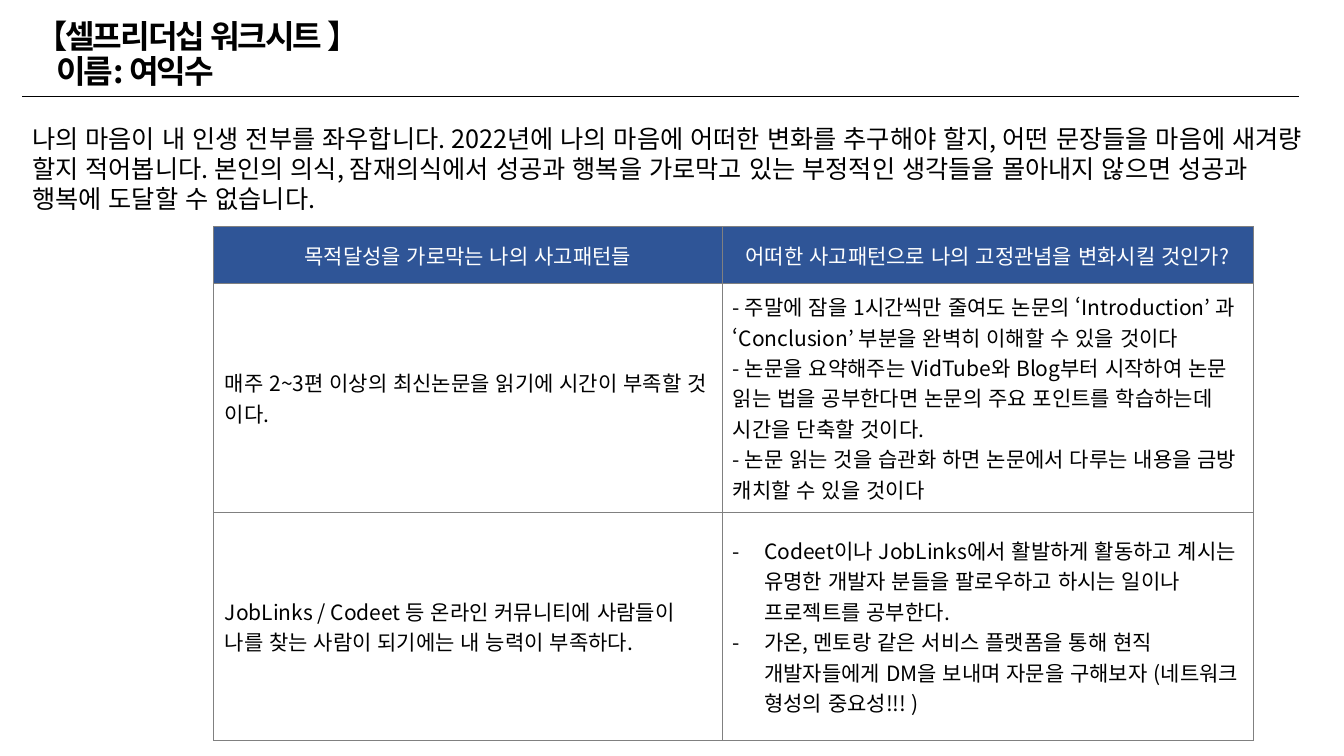
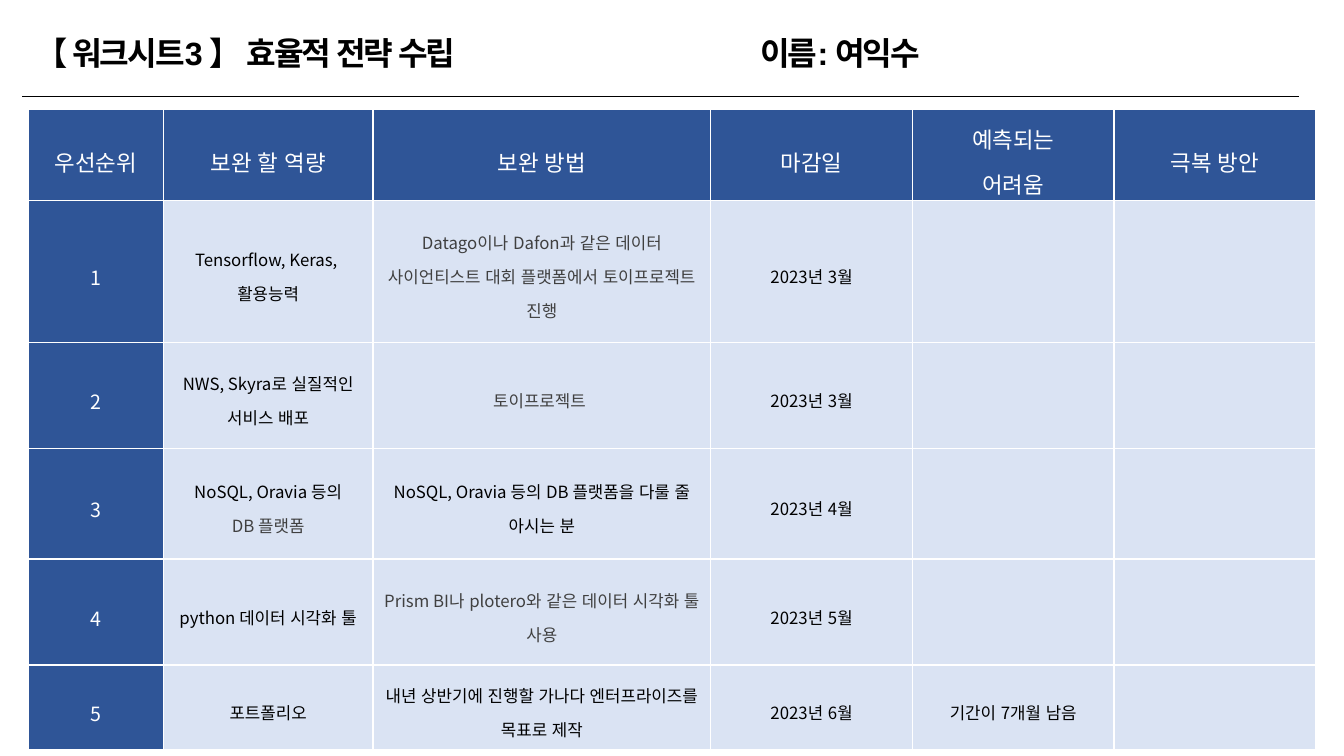
from dataclasses import dataclass

from pptx import Presentation
from pptx.dml.color import RGBColor as RGB
from pptx.enum.lang import MSO_LANGUAGE_ID as Lang
from pptx.enum.shapes import MSO_CONNECTOR as Link
from pptx.enum.text import MSO_ANCHOR as Anchor, MSO_AUTO_SIZE as Auto, PP_ALIGN as Align
from pptx.oxml.ns import qn
from pptx.oxml.xmlchemy import OxmlElement as Node
from pptx.shapes.base import BaseShape as Shape
from pptx.slide import Slide
from pptx.table import _Cell as Box
from pptx.text.text import TextFrame as Frame
from pptx.util import Inches, Pt

# Shared look
FONT = "Noto Sans CJK KR"
BLACK, WHITE, GRAY, DARK = "000000", "FFFFFF", "808080", "404040"
BLUE, PALE = "2F5597", "DAE3F3"


@dataclass(frozen=True)
class Style:
    size: float
    color: str = BLACK
    font: str = FONT
    bold: bool = False
    track: int = 0
    align: Align = Align.LEFT
    space: float = 1.0


@dataclass(frozen=True)
class Cell:
    text: str
    style: Style
    fill: str
    tail: str = ""  # colour of the last paragraph, if it differs
    dash: bool = False


@dataclass(frozen=True)
class Grid:
    left: float
    top: float
    cols: list[float]
    rows: list[float]
    edge: str
    width: float
    pad: tuple[float, float]
    cells: list[list[Cell]]


def tint(code: str) -> RGB:
    return RGB.from_string(code)


def write(frame: Frame, text: str, style: Style) -> None:
    frame.text = text
    frame.word_wrap = True
    for para in frame.paragraphs:
        para.alignment = style.align
        para.line_spacing = style.space
        for run in para.runs:
            font = run.font
            font.size, font.bold, font.name = Pt(style.size), style.bold, style.font
            font.language_id = Lang.KOREAN
            font.color.rgb = tint(style.color)
            props = run._r.get_or_add_rPr()
            props.set("altLang", "en-US")
            props.set("kern", "0")
            if style.track:
                props.set("spc", str(style.track))
            east = Node("a:ea")
            east.set("typeface", FONT)
            props.find(qn("a:latin")).addnext(east)


def place(shape: Shape, left: float, top: float, width: float, height: float) -> None:
    shape.left, shape.top = Inches(left), Inches(top)
    shape.width, shape.height = Inches(width), Inches(height)


def inset(frame: Frame) -> None:
    frame.auto_size = Auto.NONE
    frame.vertical_anchor = Anchor.MIDDLE
    frame.margin_left = frame.margin_right = Inches(0.07)
    frame.margin_top = frame.margin_bottom = Inches(0.04)


def head(slide: Slide, text: str, style: Style) -> None:
    """Title and the rule under it."""
    title = slide.shapes.title
    place(title, 0.28, 0.15, 11.74, 0.8)
    inset(title.text_frame)
    write(title.text_frame, text, style)
    y = Inches(0.96)
    rule = slide.shapes.add_connector(Link.STRAIGHT, Inches(0.22), y, Inches(12.88), y)
    rule.line.color.rgb = tint(BLACK)
    rule.line.width = Pt(0.5)
    rule._element.spPr.append(Node("a:effectLst"))


def border(box: Box, color: str, width: float) -> None:
    props = box._tc.get_or_add_tcPr()
    for side in "LRTB":
        line, fill, tone = Node(f"a:ln{side}"), Node("a:solidFill"), Node("a:srgbClr")
        line.set("w", str(Pt(width)))
        tone.set("val", color)
        fill.append(tone)
        line.append(fill)
        props.append(line)


def bullet(frame: Frame) -> None:
    for para in frame.paragraphs:
        props = para._p.get_or_add_pPr()
        props.set("marL", str(Inches(0.31)))
        props.set("indent", str(-Inches(0.31)))
        face, mark = Node("a:buFont"), Node("a:buChar")
        face.set("typeface", FONT)
        mark.set("char", "-")
        props.extend([face, mark])


def fill_box(box: Box, cell: Cell, grid: Grid) -> None:
    border(box, grid.edge, grid.width)
    box.fill.solid()
    box.fill.fore_color.rgb = tint(cell.fill)
    box.vertical_anchor = Anchor.MIDDLE
    box.margin_left = box.margin_right = Inches(grid.pad[0])
    box.margin_top = box.margin_bottom = Inches(grid.pad[1])
    write(box.text_frame, cell.text, cell.style)
    if cell.tail:
        for run in box.text_frame.paragraphs[-1].runs:
            run.font.color.rgb = tint(cell.tail)
    if cell.dash:
        bullet(box.text_frame)


def draw(slide: Slide, grid: Grid) -> None:
    table = slide.shapes.add_table(
        len(grid.rows), len(grid.cols), Inches(grid.left), Inches(grid.top),
        Inches(sum(grid.cols)), Inches(sum(grid.rows))).table
    table.first_row = table.horz_banding = False
    for col, width in zip(table.columns, grid.cols):
        col.width = Inches(width)
    for row, height, cells in zip(table.rows, grid.rows, grid.cells):
        row.height = Inches(height)
        for box, cell in zip(row.cells, cells):
            fill_box(box, cell, grid)


deck = Presentation()
deck.slide_width, deck.slide_height = Inches(13.33), Inches(7.5)
plain = deck.slide_layouts[5]

# Slide 1: thought patterns
mind = deck.slides.add_slide(plain)
head(mind, "【셀프리더십 워크시트 】\n이름: 여익수",
     Style(23, bold=True, track=-150, space=0.9))
owner = mind.shapes.title.text_frame.paragraphs[1]
owner._p.get_or_add_pPr().set("marL", str(Inches(0.21)))

intro = mind.shapes.add_textbox(Inches(0.22), Inches(1.17), Inches(12.99), Inches(1.01))
write(intro.text_frame,
      "나의 마음이 내 인생 전부를 좌우합니다. 2022년에 나의 마음에 어떠한 변화를 추구해야 할지, "
      "어떤 문장들을 마음에 새겨량 할지 적어봅니다. 본인의 의식, 잠재의식에서 성공과 행복을 "
      "가로막고 있는 부정적인 생각들을 몰아내지 않으면 성공과 행복에 도달할 수 없습니다.",
      Style(18))

label = Style(15, WHITE, align=Align.CENTER)
note = Style(15)
draw(mind, Grid(2.12, 2.25, [5.04, 5.27], [0.56, 2.27, 2.27], GRAY, 0.5, (0.11, 0.05), [
    [Cell("목적달성을 가로막는 나의 사고패턴들", label, BLUE),
     Cell("어떠한 사고패턴으로 나의 고정관념을 변화시킬 것인가?", label, BLUE)],
    [Cell("매주 2~3편 이상의 최신논문을 읽기에 시간이 부족할 것 이다.", note, WHITE),
     Cell("- 주말에 잠을 1시간씩만 줄여도 논문의 ‘Introduction’ 과 ‘Conclusion’ 부분을 "
          "완벽히 이해할 수 있을 것이다\n"
          "- 논문을 요약해주는 VidTube와 Blog부터 시작하여 논문 읽는 법을 공부한다면 "
          "논문의 주요 포인트를 학습하는데 시간을 단축할 것이다.\n"
          "- 논문 읽는 것을 습관화 하면 논문에서 다루는 내용을 금방 캐치할 수 있을 것이다",
          note, WHITE)],
    [Cell("JobLinks / Codeet 등 온라인 커뮤니티에 사람들이 나를 찾는 사람이 되기에는 "
          "내 능력이 부족하다.", note, WHITE),
     Cell("Codeet이나 JobLinks에서 활발하게 활동하고 계시는 유명한 개발자 분들을 "
          "팔로우하고 하시는 일이나 프로젝트를 공부한다.\n"
          "가온, 멘토랑 같은 서비스 플랫폼을 통해 현직 개발자들에게 DM을 보내며 "
          "자문을 구해보자 (네트워크 형성의 중요성!!! )", note, WHITE, dash=True)],
]))

# Slide 2: strategy plan
plan = deck.slides.add_slide(plain)
bold = Style(23, font="Arial", bold=True, track=-150, space=0.9)
top = Style(16, WHITE, align=Align.CENTER, space=1.4)
rank = Style(14, WHITE, align=Align.CENTER, space=1.4)
black = Style(12, align=Align.CENTER, space=1.4)
dark = Style(12, DARK, align=Align.CENTER, space=1.4)

names = ["우선순위", "보완 할 역량", "보완 방법", "마감일", "예측되는\n어려움", "극복 방안"]
# Skill, colour of its last line, method, method style, month, obstacle
goals = [
    ("Tensorflow, Keras, \n활용능력", BLACK,
     "Datago이나 Dafon과 같은 데이터 사이언티스트 대회 플랫폼에서 토이프로젝트 진행", dark, 3, ""),
    ("NWS, Skyra로 실질적인 서비스 배포", BLACK, "토이프로젝트 ", dark, 3, ""),
    ("NoSQL, Oravia 등의\nDB 플랫폼", DARK,
     "NoSQL, Oravia 등의 DB 플랫폼을 다룰 줄 아시는 분", black, 4, ""),
    ("python 데이터 시각화 툴", BLACK,
     "Prism BI나 plotero와 같은 데이터 시각화 툴 사용", dark, 5, ""),
    ("포트폴리오", BLACK, "내년 상반기에 진행할 가나다 엔터프라이즈를 목표로 제작", black, 6,
     "기간이 7개월 남음"),
]
cells = [[Cell(name, top, BLUE) for name in names]]
for number, (skill, tail, way, style, month, risk) in enumerate(goals, 1):
    cells.append([
        Cell(str(number), rank, BLUE),
        Cell(skill, black, PALE, tail),
        Cell(way, style, PALE),
        Cell(f"2023년 {month}월", black, PALE),
        Cell(risk, black, PALE),
        Cell("", black, PALE),
    ])
draw(plan, Grid(0.28, 1.09, [1.34, 2.08, 3.35, 2, 2, 2],
                [0.8, 1.41, 1.05, 1.1, 1.05, 0.84], WHITE, 1, (0.07, 0), cells))
head(plan, "【 워크시트3 】 효율적 전략 수립", bold)
owner = plan.shapes.add_textbox(Inches(7.47), Inches(0.15), Inches(3.79), Inches(0.8))
inset(owner.text_frame)
write(owner.text_frame, "이름: 여익수", bold)

deck.save("out.pptx")
